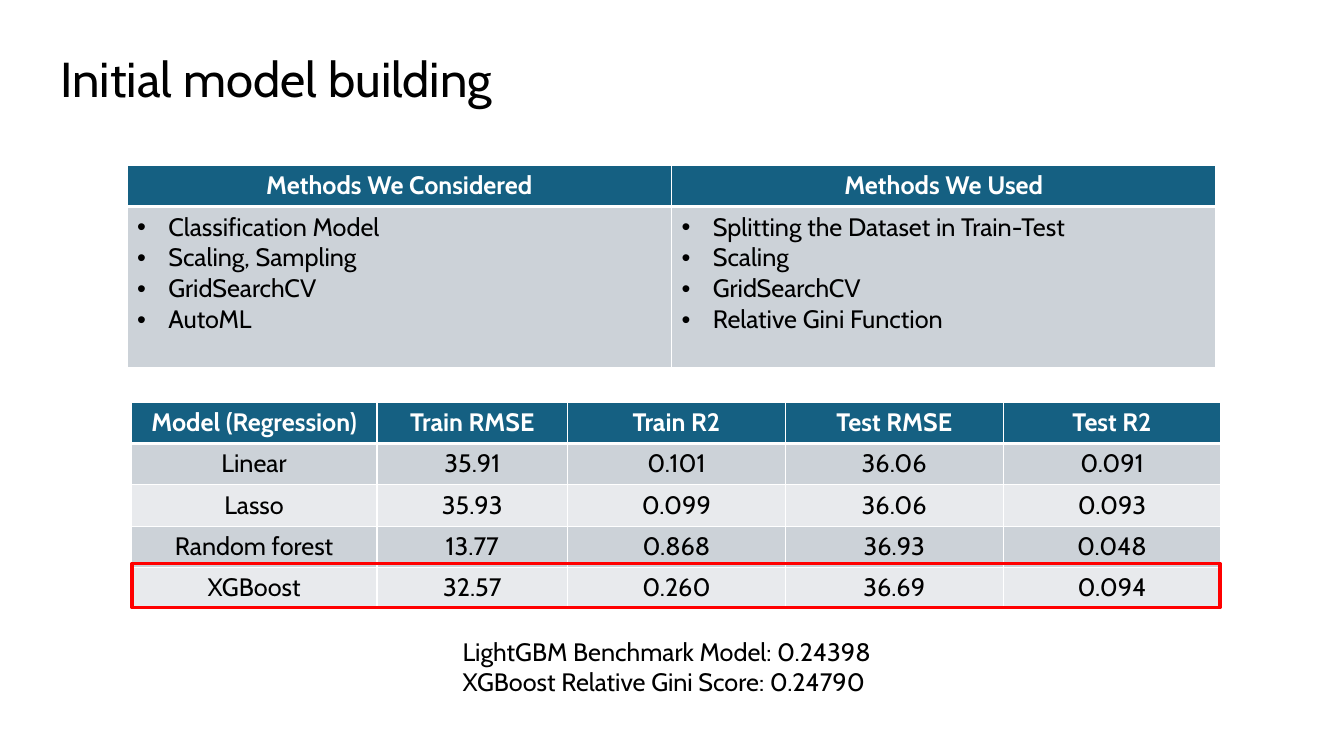
"""Build the slide on initial model building, with its methods and scores tables."""
from dataclasses import dataclass
from typing import Any

from lxml.etree import SubElement
from pptx import Presentation
from pptx.dml.color import RGBColor
from pptx.enum.shapes import MSO_SHAPE as Shape
from pptx.enum.text import PP_ALIGN as Align
from pptx.oxml.ns import qn
from pptx.util import Inches, Pt

WHITE = RGBColor(0xFF, 0xFF, 0xFF)
BLACK = RGBColor(0x00, 0x00, 0x00)
RED = RGBColor(0xFF, 0x00, 0x00)
TEAL = RGBColor(0x15, 0x60, 0x82)
BANDS = (RGBColor(0xCC, 0xD2, 0xD8), RGBColor(0xE8, 0xEA, 0xED))
HEADER_HEIGHT = 0.41


@dataclass
class TextBlock:
    left: float
    top: float
    width: float
    height: float
    size: int
    lines: list[str]


@dataclass
class TableBlock:
    left: float
    top: float
    widths: list[float]
    row_height: float
    rows: list[list[str]]
    bulleted: bool = False


TEXTS = [
    TextBlock(0.5, 0.43, 12.43, 0.69, 35, ["Initial model building"]),
    TextBlock(4.49, 6.26, 4.34, 0.71, 18, [
        "LightGBM Benchmark Model: 0.24398",
        "XGBoost Relative Gini Score: 0.24790",
    ]),
]
SCORES = TableBlock(1.3, 3.99, [2.44, 1.89, 2.16, 2.16, 2.16], HEADER_HEIGHT, [
    ["Model (Regression)", "Train RMSE", "Train R2", "Test RMSE", "Test R2"],
    ["Linear", "35.91", "0.101", "36.06", "0.091"],
    ["Lasso", "35.93", "0.099", "36.06", "0.093"],
    ["Random forest", "13.77", "0.868", "36.93", "0.048"],
    ["XGBoost", "32.57", "0.260", "36.69", "0.094"],
])
METHODS = TableBlock(1.26, 1.64, [5.4, 5.4], 1.6, [
    ["Methods We Considered", "Methods We Used"],
    [
        "Classification Model\nScaling, Sampling\nGridSearchCV\nAutoML",
        "Splitting the Dataset in Train-Test\nScaling\nGridSearchCV\nRelative Gini Function",
    ],
], bulleted=True)


def write_lines(frame: Any, lines: list[str], size: int, color: RGBColor, bold: bool = False) -> None:
    """Fill a text frame with one formatted paragraph per line."""
    frame.text = "\n".join(lines)
    font_format = {"name": "Cabin", "size": Pt(size), "bold": bold}
    for paragraph in frame.paragraphs:
        for run in paragraph.runs:
            for name, value in font_format.items():
                setattr(run.font, name, value)
            run.font.color.rgb = color


def add_bullet(paragraph: Any) -> None:
    """Give a paragraph a hanging bullet."""
    properties = paragraph._p.get_or_add_pPr()
    properties.set("marL", str(Inches(0.31)))
    properties.set("indent", str(Inches(-0.31)))
    SubElement(properties, qn("a:buFont"), typeface="Arial")
    SubElement(properties, qn("a:buChar"), char="•")


def add_borders(cell: Any, top: float, bottom: float) -> None:
    """Draw white borders around a cell, with the given widths in points."""
    properties = cell._tc.get_or_add_tcPr()
    for side, width in {"L": 1, "R": 1, "T": top, "B": bottom}.items():
        line = SubElement(properties, qn(f"a:ln{side}"), w=str(Pt(width)))
        fill = SubElement(line, qn("a:solidFill"))
        SubElement(fill, qn("a:srgbClr"), val=str(WHITE))


def add_text(slide: Any, block: TextBlock) -> None:
    """Add a wrapped text box."""
    box = slide.shapes.add_textbox(
        Inches(block.left), Inches(block.top), Inches(block.width), Inches(block.height))
    box.text_frame.word_wrap = True
    write_lines(box.text_frame, block.lines, block.size, BLACK)


def add_table(slide: Any, block: TableBlock) -> None:
    """Add a table with a teal header and banded body rows."""
    heights = [HEADER_HEIGHT] + [block.row_height] * (len(block.rows) - 1)
    table = slide.shapes.add_table(
        len(heights), len(block.widths), Inches(block.left), Inches(block.top),
        Inches(sum(block.widths)), Inches(sum(heights))).table
    for column, width in zip(table.columns, block.widths):
        column.width = Inches(width)
    for index, (row, height, texts) in enumerate(zip(table.rows, heights, block.rows)):
        row.height = Inches(height)
        header = index == 0
        for cell, text in zip(row.cells, texts):
            add_borders(cell, 3 if index == 1 else 1, 3 if header else 1)
            cell.fill.solid()
            cell.fill.fore_color.rgb = TEAL if header else BANDS[(index - 1) % 2]
            write_lines(cell.text_frame, text.split("\n"), 18, WHITE if header else BLACK, header)
            for paragraph in cell.text_frame.paragraphs:
                if block.bulleted and not header:
                    add_bullet(paragraph)
                else:
                    paragraph.alignment = Align.CENTER


def add_highlight(slide: Any) -> None:
    """Frame the last row of scores in red."""
    frame = slide.shapes.add_shape(
        Shape.RECTANGLE, Inches(1.31), Inches(5.59), Inches(10.79), Inches(0.44))
    frame.shadow.inherit = False
    frame.fill.background()
    frame.line.color.rgb = RED
    frame.line.width = Pt(2.25)


def main() -> None:
    """Build and save the presentation."""
    presentation = Presentation()
    presentation.slide_width = Inches(13.33)
    presentation.slide_height = Inches(7.5)
    slide = presentation.slides.add_slide(presentation.slide_layouts[6])
    for block in TEXTS:
        add_text(slide, block)
    for table_block in (SCORES, METHODS):
        add_table(slide, table_block)
    add_highlight(slide)
    presentation.save("out.pptx")


if __name__ == "__main__":
    main()
